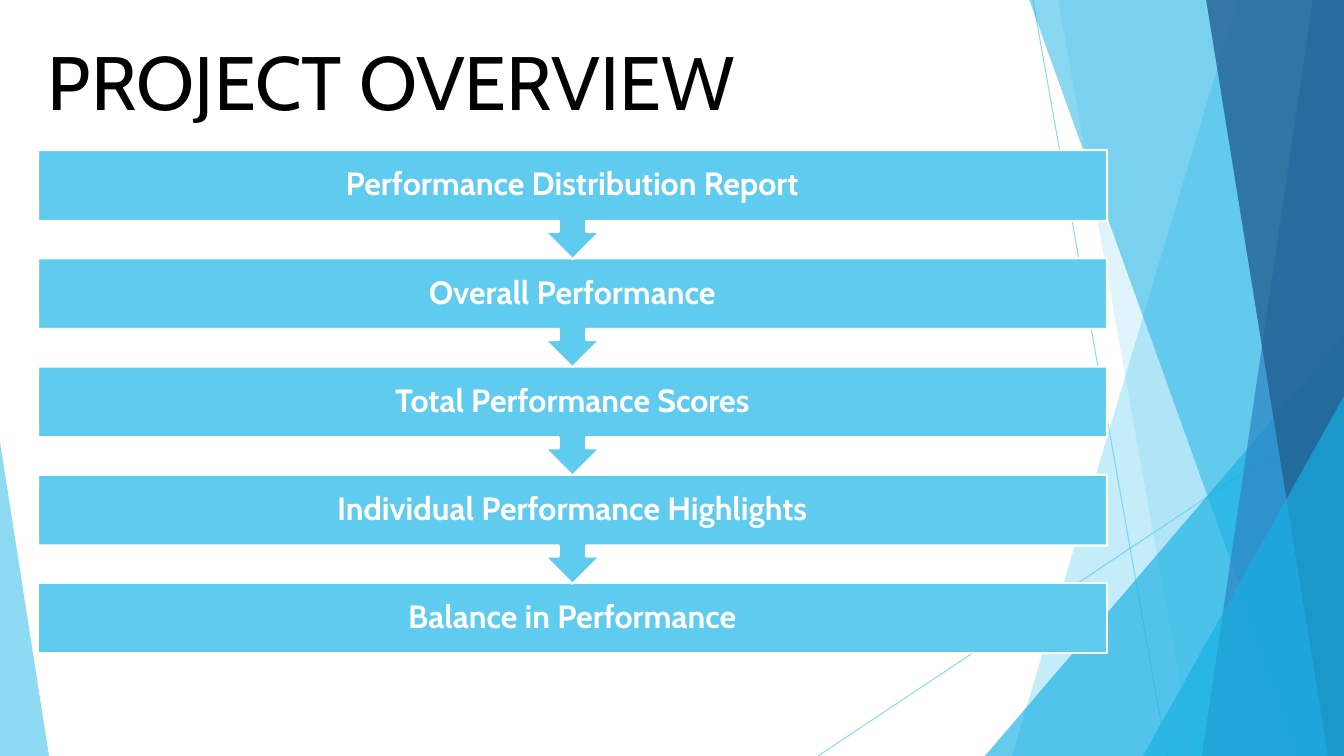
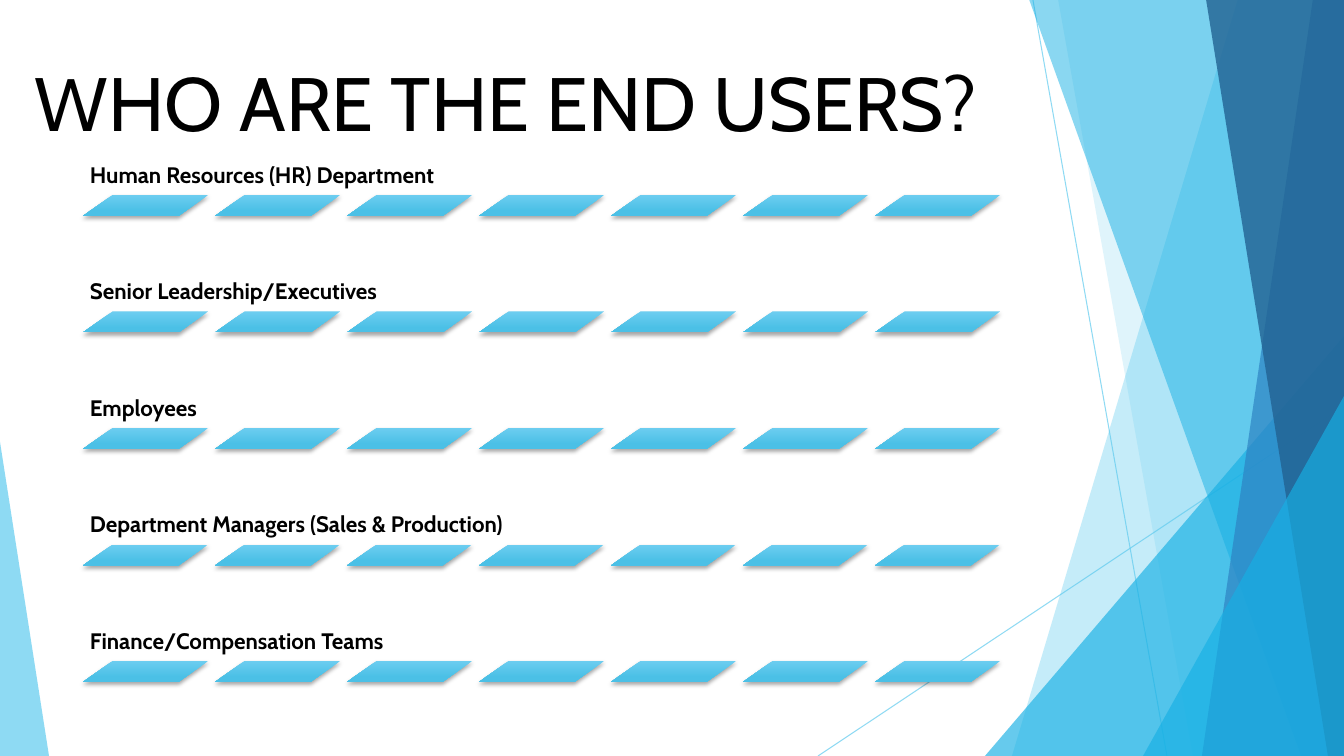
"""Builds a project overview slide and an end users slide on a shared facet backdrop."""
from lxml.etree import SubElement
from pptx import Presentation
from pptx.dml.color import RGBColor
from pptx.enum.shapes import MSO_CONNECTOR, MSO_SHAPE as Preset
from pptx.enum.text import MSO_ANCHOR as Anchor, MSO_AUTO_SIZE, PP_ALIGN as Align
from pptx.oxml.ns import qn
from pptx.util import Emu, Pt

WIDTH, HEIGHT = 1344, 756
SCALE = 12192000 / WIDTH
FONT = "Cabin"
COLOURS = {
    "sky": "5FCBEF", "azure": "17B0E4", "blue": "2E83C3", "navy": "226292",
    "bar_top": "6CCDF0", "bar_bottom": "4BC0E6", "black": "000000", "white": "FFFFFF",
}

HAIRLINES = [(1033, 0, 1167, 756), (1344, 406, 818, 756)]
FACETS = [
    ("band", (1238, 1012), "sky", 36),
    ("band", (1058, 1193), "sky", 20),
    ("triangle", (985, 336, 359, 420, 1), "azure", 66),
    ("band", (1029, 1301), "azure", 50),
    ("band", (1313, 1202), "blue", 70),
    ("band", (1206, 1328), "navy", 80),
    ("triangle", (1143, 396, 201, 360, 1), "azure", 66),
    ("triangle", (0, 442, 49, 314, 0), "sky", 70),
]

OVERVIEW = {
    "title": ("PROJECT OVERVIEW", (38, 30, 787, 102)),
    "steps": [
        "Performance Distribution Report",
        "Overall Performance",
        "Total Performance Scores",
        "Individual Performance Highlights",
        "Balance in Performance",
    ],
}
STEP_LEFT, STEP_WIDTH, STEP_HEIGHT, CALLOUT_HEIGHT = 38, 1069, 70, 109
FIRST_STEP, LAST_STEP = 150, 583

AUDIENCE = {
    "title": ("WHO ARE THE END USERS?", (25, 51, 978, 102)),
    "users": [
        "Human Resources (HR) Department",
        "Senior Leadership/Executives",
        "Employees",
        "Department Managers (Sales & Production)",
        "Finance/Compensation Teams",
    ],
}
USER_LEFT, USER_WIDTH, USER_HEIGHT = 83, 934, 85
FIRST_USER, LAST_USER = 110, 576
BAR_COUNT, BAR_PITCH, BAR_WIDTH, BAR_HEIGHT = 7, 132, 125, 21


def px(*lengths):
    return [Emu(round(length * SCALE)) for length in lengths]


def rgb(name):
    return RGBColor.from_string(COLOURS[name])


def spread(first, last, items):
    gap = (last - first) / (len(items) - 1)
    return [(first + gap * index, item) for index, item in enumerate(items)]


def set_alpha(shape, percent):
    colour = shape.element.spPr.find(".//" + qn("a:srgbClr"))
    SubElement(colour, qn("a:alpha"), val=str(percent * 1000))


def add_preset(page, preset, box, adjustment=None):
    shape = page.shapes.add_shape(preset, *px(*box))
    shape.line.fill.background()
    shape.shadow.inherit = False
    if adjustment is not None:
        shape.adjustments[0] = adjustment
    return shape


def write(shape, text, size, colour, bold=True, inset=None, anchor=Anchor.TOP, align=Align.LEFT):
    frame = shape.text_frame
    frame.word_wrap = True
    frame.vertical_anchor = anchor
    if inset is not None:
        (margin,) = px(inset)
        frame.margin_left = frame.margin_right = margin
        frame.margin_top = frame.margin_bottom = margin
    para = frame.paragraphs[0]
    para.text = text
    para.alignment = align
    para.font.name = FONT
    para.font.size = Pt(size)
    para.font.bold = bold
    para.font.color.rgb = rgb(colour)
    return frame, para


def add_band(page, top_x, bottom_x):
    outline = page.shapes.build_freeform(top_x, -1, scale=SCALE)
    outline.add_line_segments([(WIDTH, -1), (WIDTH, HEIGHT), (bottom_x, HEIGHT)])
    band = outline.convert_to_shape()
    band.line.fill.background()
    band.shadow.inherit = False
    return band


def add_backdrop(page):
    for ends in HAIRLINES:
        line = page.shapes.add_connector(MSO_CONNECTOR.STRAIGHT, *px(*ends))
        line.line.color.rgb = rgb("sky")
        line.line.width = Pt(0.75)
        set_alpha(line, 70)
        SubElement(line.element.spPr, qn("a:effectLst"))
    for kind, place, colour, opacity in FACETS:
        if kind == "band":
            facet = add_band(page, *place)
        else:
            *box, apex = place
            facet = add_preset(page, Preset.ISOSCELES_TRIANGLE, box, apex)
        facet.fill.solid()
        facet.fill.fore_color.rgb = rgb(colour)
        set_alpha(facet, opacity)


def add_page(deck, title, box):
    page = deck.slides.add_slide(deck.slide_layouts[6])
    add_backdrop(page)
    frame, _ = write(page.shapes.add_textbox(*px(*box)), title, 54, "black", bold=False)
    frame.auto_size = MSO_AUTO_SIZE.SHAPE_TO_FIT_TEXT
    return page


def add_step(page, top, text, is_last):
    preset = Preset.RECTANGLE if is_last else Preset.DOWN_ARROW_CALLOUT
    height = STEP_HEIGHT if is_last else CALLOUT_HEIGHT
    step = add_preset(page, preset, (STEP_LEFT, top, STEP_WIDTH, height))
    step.fill.solid()
    step.fill.fore_color.rgb = rgb("sky")
    step.line.color.rgb = rgb("white")
    step.line.width = Pt(1.5)
    _, para = write(step, text, 23, "white", inset=18, anchor=Anchor.MIDDLE, align=Align.CENTER)
    para.line_spacing = 0.9


def add_bar(page, left, top):
    bar = add_preset(page, Preset.PARALLELOGRAM, (left, top, BAR_WIDTH, BAR_HEIGHT), 1.41)
    bar.fill.gradient()
    bar.fill.gradient_angle = 270
    stops = zip(bar.fill.gradient_stops, (0, 0.78), ("bar_top", "bar_bottom"))
    for stop, position, colour in stops:
        stop.position = position
        stop.color.rgb = rgb(colour)
    effects = bar.element.spPr.find(qn("a:effectLst"))
    shadow = SubElement(effects, qn("a:outerShdw"), blurRad=str(Pt(3)), dist=str(Pt(2)),
                        dir="5400000", rotWithShape="0")
    SubElement(shadow, qn("a:srgbClr"), val=COLOURS["black"])
    SubElement(shadow[0], qn("a:alpha"), val="35000")


def add_user(page, top, text):
    label = page.shapes.add_textbox(*px(USER_LEFT, top, USER_WIDTH, USER_HEIGHT))
    _, para = write(label, text, 16, "black", inset=7, anchor=Anchor.BOTTOM)
    para.line_spacing = 0.9
    for index in range(BAR_COUNT):
        add_bar(page, USER_LEFT + index * BAR_PITCH, top + USER_HEIGHT)


def main():
    deck = Presentation()
    deck.slide_width, deck.slide_height = px(WIDTH, HEIGHT)

    page = add_page(deck, *OVERVIEW["title"])
    for top, step in reversed(spread(FIRST_STEP, LAST_STEP, OVERVIEW["steps"])):
        add_step(page, top, step, top == LAST_STEP)

    page = add_page(deck, *AUDIENCE["title"])
    for top, user in spread(FIRST_USER, LAST_USER, AUDIENCE["users"]):
        add_user(page, top, user)

    deck.save("out.pptx")


if __name__ == "__main__":
    main()
